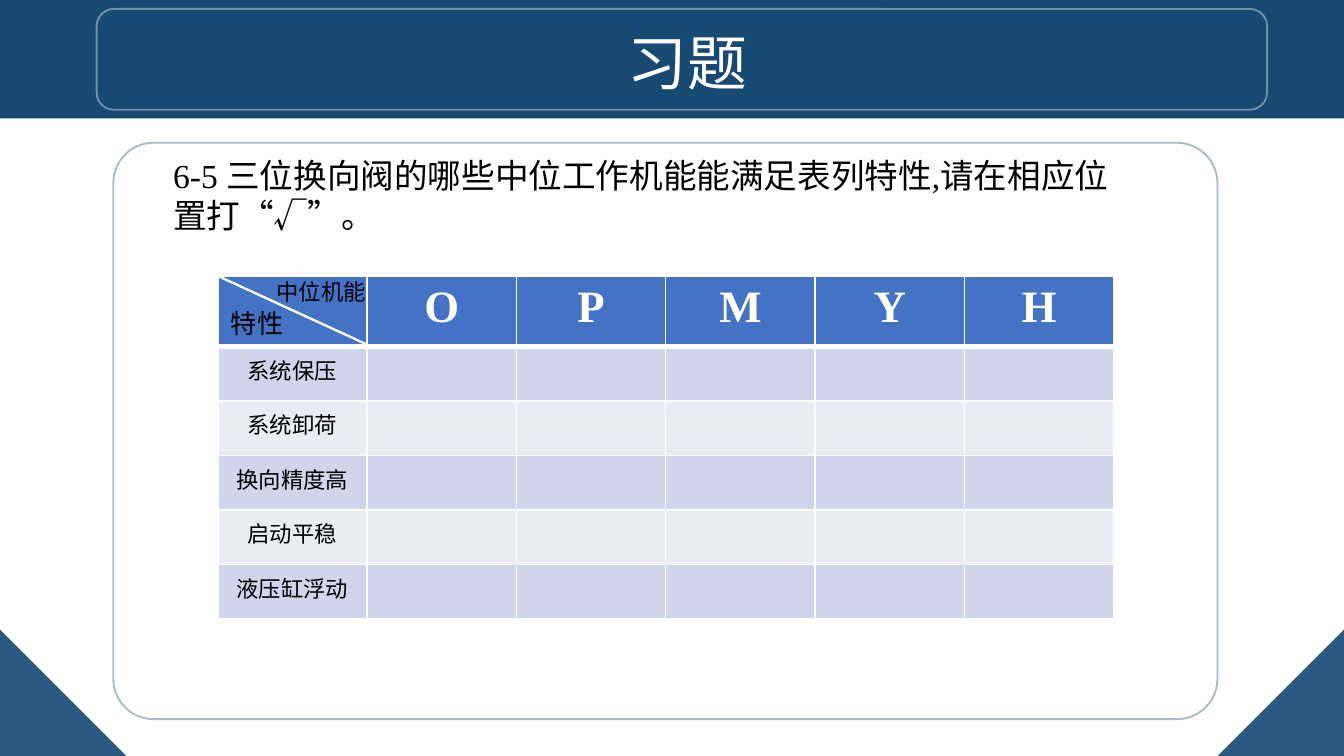
from lxml import etree
from pptx import Presentation
from pptx.dml.color import RGBColor
from pptx.enum.shapes import MSO_CONNECTOR, MSO_SHAPE
from pptx.enum.text import PP_ALIGN
from pptx.oxml.ns import qn
from pptx.util import Pt

RECT = MSO_SHAPE.RECTANGLE
ROUND_RECT = MSO_SHAPE.ROUNDED_RECTANGLE
TRIANGLE = MSO_SHAPE.RIGHT_TRIANGLE
STRAIGHT = MSO_CONNECTOR.STRAIGHT
LEFT, CENTER = PP_ALIGN.LEFT, PP_ALIGN.CENTER

NAVY = RGBColor(0x18, 0x49, 0x72)
WHITE = RGBColor(0xFF, 0xFF, 0xFF)
BLACK = RGBColor(0, 0, 0)
HEADER_BLUE = RGBColor(0x44, 0x72, 0xC4)
BANDS = [RGBColor(0xCF, 0xD5, 0xEA), RGBColor(0xE9, 0xEB, 0xF5)]

SERIF = "Times New Roman"
CJK = "Noto Sans CJK SC"

SLIDE_W, SLIDE_H = 720, 405
TABLE_X, TABLE_Y = 116.64, 147.8
COL_W, HEADER_H, ROW_H = 80, 37.8, 29.2
VALVE_TYPES = ["O", "P", "M", "Y", "H"]
FEATURES = ["系统保压", "系统卸荷", "换向精度高", "启动平稳", "液压缸浮动"]


def set_alpha(color_format_parent, percent):
    """Make the solid colour below an XML element partly transparent."""
    color = color_format_parent.find(".//" + qn("a:srgbClr"))
    etree.SubElement(color, qn("a:alpha")).set("val", str(percent * 1000))


def style_run(r, size, color, bold=False, latin=SERIF):
    r.font.size = Pt(size)
    r.font.bold = bold
    r.font.name = latin
    r.font.color.rgb = color
    ea = etree.SubElement(r.font._element, qn("a:ea"))
    ea.set("typeface", CJK)


def add_filled(s, kind, x, y, w, h, opacity=100, rotation=0):
    sp = s.shapes.add_shape(kind, Pt(x), Pt(y), Pt(w), Pt(h))
    sp.shadow.inherit = False
    sp.rotation = rotation
    sp.fill.solid()
    sp.fill.fore_color.rgb = NAVY
    sp.line.fill.background()
    if opacity < 100:
        set_alpha(sp._element.spPr, opacity)


def add_frame(s, x, y, w, h, color, opacity, radius):
    sp = s.shapes.add_shape(ROUND_RECT, Pt(x), Pt(y), Pt(w), Pt(h))
    sp.shadow.inherit = False
    sp.adjustments[0] = radius
    sp.fill.background()
    sp.line.color.rgb = color
    sp.line.width = Pt(1)
    set_alpha(sp._element.spPr, opacity)


def add_text(s, x, y, w, h, parts, size, color=BLACK, align=LEFT):
    """Add one paragraph; parts are (text, latin font) pairs."""
    tf = s.shapes.add_textbox(Pt(x), Pt(y), Pt(w), Pt(h)).text_frame
    tf.word_wrap = True
    p = tf.paragraphs[0]
    p.alignment = align
    for text, latin in parts:
        r = p.add_run()
        r.text = text
        style_run(r, size, color, latin=latin)


def add_line(s, x1, y1, x2, y2):
    line = s.shapes.add_connector(STRAIGHT, Pt(x1), Pt(y1), Pt(x2), Pt(y2))
    line.line.color.rgb = WHITE
    line.line.width = Pt(1.25)
    etree.SubElement(line._element.spPr, qn("a:effectLst"))


def set_borders(cell, top, bottom):
    tc_pr = cell._tc.get_or_add_tcPr()
    widths = {"a:lnL": 1, "a:lnR": 1, "a:lnT": top, "a:lnB": bottom}
    for i, (tag, width) in enumerate(widths.items()):
        ln = etree.Element(qn(tag), w=str(Pt(width)))
        fill = etree.SubElement(ln, qn("a:solidFill"))
        etree.SubElement(fill, qn("a:srgbClr")).set("val", str(WHITE))
        tc_pr.insert(i, ln)


def fill_cell(cell, text, fill, size, color, bold):
    cell.fill.solid()
    cell.fill.fore_color.rgb = fill
    p = cell.text_frame.paragraphs[0]
    p.alignment = CENTER
    p.font.size = Pt(size)
    if text:
        p.text = text
        style_run(p.runs[0], size, color, bold)


def add_feature_table(s):
    rows, cols = len(FEATURES) + 1, len(VALVE_TYPES) + 1
    height = HEADER_H + ROW_H * len(FEATURES)
    table = s.shapes.add_table(rows, cols, Pt(TABLE_X), Pt(TABLE_Y),
                               Pt(COL_W * cols), Pt(height)).table
    for column in table.columns:
        column.width = Pt(COL_W)
    for i, row in enumerate(table.rows):
        row.height = Pt(ROW_H if i else HEADER_H)
        for j, cell in enumerate(row.cells):
            if i == 0:
                text = VALVE_TYPES[j - 1] if j else ""
                fill_cell(cell, text, HEADER_BLUE, 24, WHITE, True)
            else:
                text = "" if j else FEATURES[i - 1]
                fill_cell(cell, text, BANDS[(i - 1) % 2], 12, BLACK, False)
            set_borders(cell, 3 if i == 1 else 1, 1 if i else 3)


def add_corner_header(s):
    add_line(s, TABLE_X, TABLE_Y, TABLE_X + COL_W, TABLE_Y + HEADER_H - 1)
    add_text(s, TABLE_X, 161.3, 46, 18, [("特性", SERIF)], 14)
    add_text(s, 141.1, 145.4, 73.4, 21.6, [("中位机能", SERIF)], 12)


def main():
    prs = Presentation()
    prs.slide_width, prs.slide_height = Pt(SLIDE_W), Pt(SLIDE_H)
    s = prs.slides.add_slide(prs.slide_layouts[6])

    corner = 67.7
    add_filled(s, RECT, 0, 0, SLIDE_W, 63.4)
    add_filled(s, TRIANGLE, 0, SLIDE_H - corner, corner, corner, 92)
    add_filled(s, TRIANGLE, SLIDE_W - corner, SLIDE_H - corner,
               corner, corner, 92, 270)
    add_frame(s, 60.7, 76.5, 591.5, 308.8, NAVY, 36, 0.07)

    add_text(s, 67.7, 10.1, 601.2, 46, [("习题", SERIF)], 32, WHITE, CENTER)
    add_frame(s, 51.8, 4.8, 627, 54, WHITE, 40, 0.17)

    question = [
        ("6-5\u3000三位换向阀的哪些中位工作机能能满足表列特性,请在相应位置打“".replace("\u3000", " "), SERIF),
        ("√", CJK),
        ("”。", SERIF),
    ]
    add_text(s, 85.7, 79.2, 519.8, 51, question, 18)
    add_feature_table(s)
    add_corner_header(s)
    prs.save("out.pptx")


if __name__ == "__main__":
    main()
